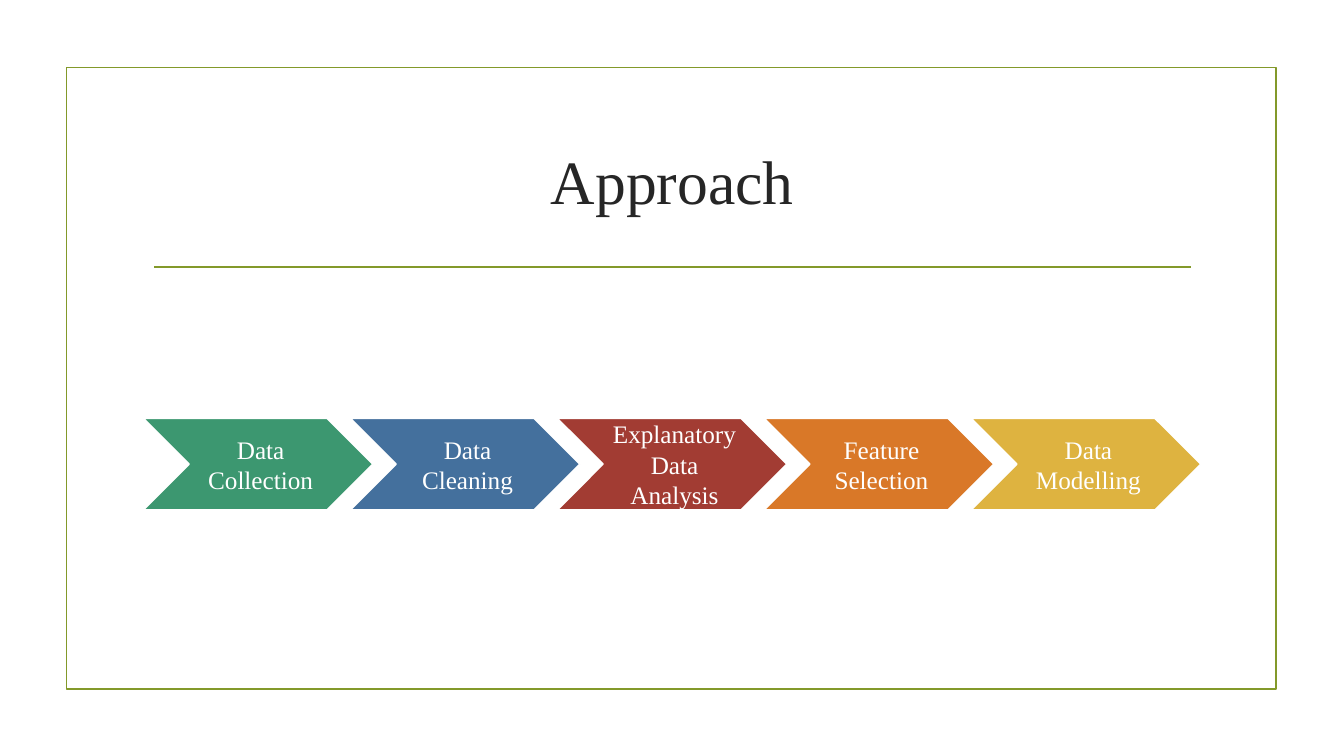
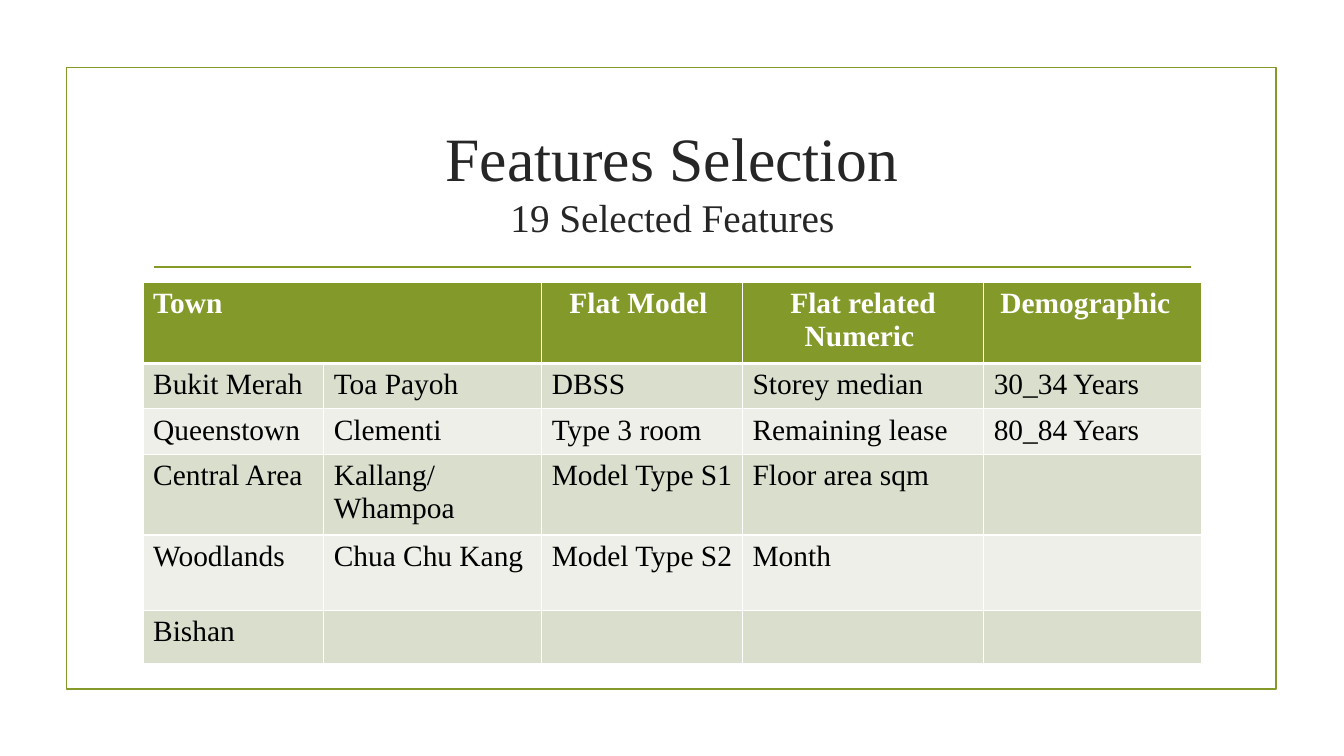
from dataclasses import dataclass

from lxml import etree
from pptx import Presentation
from pptx.dml.color import RGBColor
from pptx.enum.shapes import MSO_CONNECTOR as Connector, MSO_SHAPE as Shape
from pptx.enum.text import MSO_ANCHOR as Anchor, PP_ALIGN as Align
from pptx.oxml import parse_xml
from pptx.oxml.ns import nsdecls, qn
from pptx.util import Inches, Pt

WIDTH, HEIGHT = Inches(13.33), Inches(7.5)
FONT = "Times New Roman"
OLIVE, INK, WHITE, BLACK = "83992A", "262626", "FFFFFF", "000000"
BANDS = ("D9DECD", "EDEFE8")
LINE_WIDTH = 1.25


@dataclass
class Box:
    """A region in hundredths of the slide's width and height."""
    left: float
    top: float
    width: float
    height: float

    def place(self):
        """Return left, top, width and height as slide lengths."""
        return (across(self.left), down(self.top),
                across(self.width), down(self.height))


FRAME = Box(4.95, 8.93, 90, 82.27)
TITLE = Box(10.65, 14.27, 78.77, 19.07)
RULE = Box(11.48, 35.33, 77.12, 0)
STEPS_BAND = Box(10.65, 55.33, 78.7, 12.13)
FEATURES = Box(10.65, 37.4, 78.77, 48.13)

STEPS = (("Data Collection", "3C9770"), ("Data Cleaning", "44709D"),
         ("Explanatory Data Analysis", "A23C33"),
         ("Feature Selection", "D97828"), ("Data Modelling", "DEB340"))
COLUMN_SHARES = (1.79, 2.16, 1.99, 2.39, 2.16)
ROW_SHARES = (0.74, 0.42, 0.42, 0.75, 0.75, 0.53)
ROWS = (
    ("Town", "", "Flat Model ", "Flat related Numeric ", "Demographic  "),
    ("Bukit Merah", "Toa Payoh", "DBSS", "Storey median", "30_34 Years"),
    ("Queenstown", "Clementi", "Type 3 room", "Remaining lease", "80_84 Years"),
    ("Central Area", "Kallang/\nWhampoa", "Model Type S1", "Floor area sqm", ""),
    ("Woodlands", "Chua Chu Kang", "Model Type S2", "Month", ""),
    ("Bishan", "", "", "", ""),
)


def across(columns):
    """Turn hundredths of the slide's width into a length."""
    return round(WIDTH * columns / 100)


def down(rows):
    """Turn hundredths of the slide's height into a length."""
    return round(HEIGHT * rows / 100)


def colour(code):
    """Turn a hex string into a colour."""
    return RGBColor.from_string(code)


def apply(target, **values):
    """Set each named attribute on the target."""
    for name, value in values.items():
        setattr(target, name, value)


def paint(item, code):
    """Give a shape or cell a solid fill."""
    item.fill.solid()
    item.fill.fore_color.rgb = colour(code)


def outline(item, code):
    """Give a shape or connector its line."""
    item.line.color.rgb = colour(code)
    item.line.width = Pt(LINE_WIDTH)


def write(para, text, size, code, bold=False):
    """Add one formatted span to a paragraph."""
    span = para.add_run()
    span.text = text
    apply(span.font, name=FONT, size=Pt(size), bold=bold)
    span.font.color.rgb = colour(code)


def add_preset(page, kind, box):
    """Add a preset shape without a shadow."""
    shape = page.shapes.add_shape(kind, *box.place())
    shape.shadow.inherit = False
    return shape


def add_base(deck, title, subtitle=None):
    """Add a page with the shared frame, rule and title."""
    page = deck.slides.add_slide(deck.slide_layouts[6])
    frame = add_preset(page, Shape.RECTANGLE, FRAME)
    frame.fill.background()
    outline(frame, OLIVE)
    left, top, width, _ = RULE.place()
    rule = page.shapes.add_connector(Connector.STRAIGHT, left, top, left + width, top)
    outline(rule, OLIVE)
    etree.SubElement(rule._element.spPr, qn("a:effectLst"))
    text = page.shapes.add_textbox(*TITLE.place()).text_frame
    apply(text, word_wrap=True, vertical_anchor=Anchor.MIDDLE)
    para = text.paragraphs[0]
    para.alignment = Align.CENTER
    write(para, title, 44, INK)
    if subtitle:
        para.add_line_break()
        write(para, subtitle, 28, INK)
    return page


def add_steps(page, box):
    """Fill a band with chevrons that advance by nine tenths of their width."""
    width = box.width / (0.9 * (len(STEPS) - 1) + 1)
    for index, (label, code) in enumerate(STEPS):
        part = Box(box.left + 0.9 * width * index, box.top, width, box.height)
        chevron = add_preset(page, Shape.CHEVRON, part)
        paint(chevron, code)
        outline(chevron, WHITE)
        text = chevron.text_frame
        apply(text, word_wrap=True, vertical_anchor=Anchor.MIDDLE,
              margin_left=Inches(0.08), margin_right=Inches(0.03),
              margin_top=Inches(0.03), margin_bottom=Inches(0.03))
        text.paragraphs[0].alignment = Align.CENTER
        write(text.paragraphs[0], label, 18, WHITE)


def add_borders(cell, top, bottom):
    """Draw white cell borders with the given top and bottom widths."""
    sides = {"lnL": 1, "lnR": 1, "lnT": top, "lnB": bottom}
    for index, (side, width) in enumerate(sides.items()):
        border = parse_xml(
            f'<a:{side} {nsdecls("a")} w="{Pt(width)}"><a:solidFill>'
            f'<a:srgbClr val="{WHITE}"/></a:solidFill></a:{side}>')
        cell._tc.get_or_add_tcPr().insert(index, border)


def fill_cell(cell, text, row, column):
    """Style one cell by its row and write its lines."""
    header = row == 0
    paint(cell, OLIVE if header else BANDS[(row - 1) % 2])
    add_borders(cell, 3 if row == 1 else 1, 3 if header else 1)
    for index, line in enumerate(text.split("\n") if text else ()):
        frame = cell.text_frame
        para = frame.add_paragraph() if index else frame.paragraphs[0]
        para.alignment = Align.CENTER if header and column else Align.LEFT
        write(para, line, 21, WHITE if header else BLACK, header)


def add_features(page, box):
    """Fill a box with the table of selected features."""
    table = page.shapes.add_table(len(ROWS), len(COLUMN_SHARES), *box.place()).table
    for column, share in zip(table.columns, COLUMN_SHARES):
        column.width = across(box.width * share / sum(COLUMN_SHARES))
    for row, share in zip(table.rows, ROW_SHARES):
        row.height = down(box.height * share / sum(ROW_SHARES))
    for row, texts in enumerate(ROWS):
        for column, text in enumerate(texts):
            fill_cell(table.cell(row, column), text, row, column)
    table.cell(0, 0).merge(table.cell(0, 1))


def main():
    """Build and save the deck."""
    deck = Presentation()
    apply(deck, slide_width=WIDTH, slide_height=HEIGHT)
    add_steps(add_base(deck, "Approach"), STEPS_BAND)
    add_features(add_base(deck, "Features Selection", "19 Selected Features"), FEATURES)
    deck.save("out.pptx")


if __name__ == "__main__":
    main()
